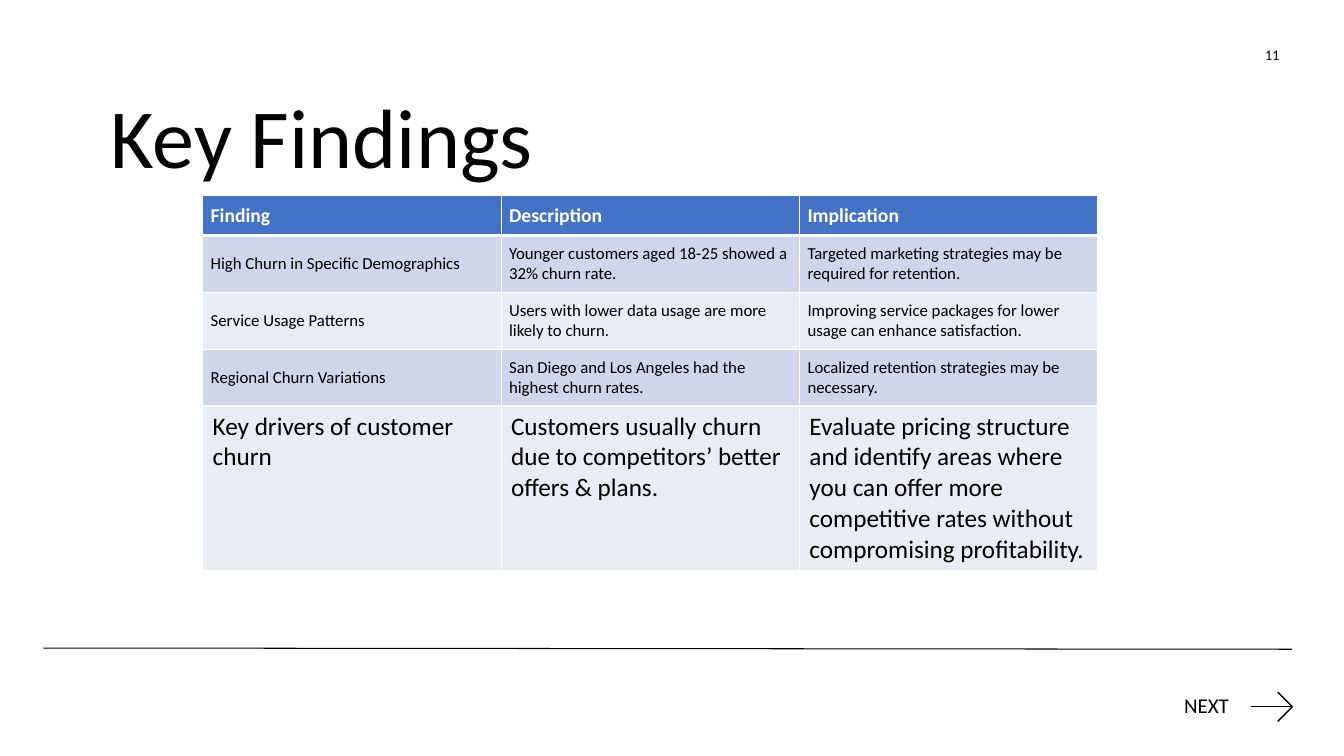
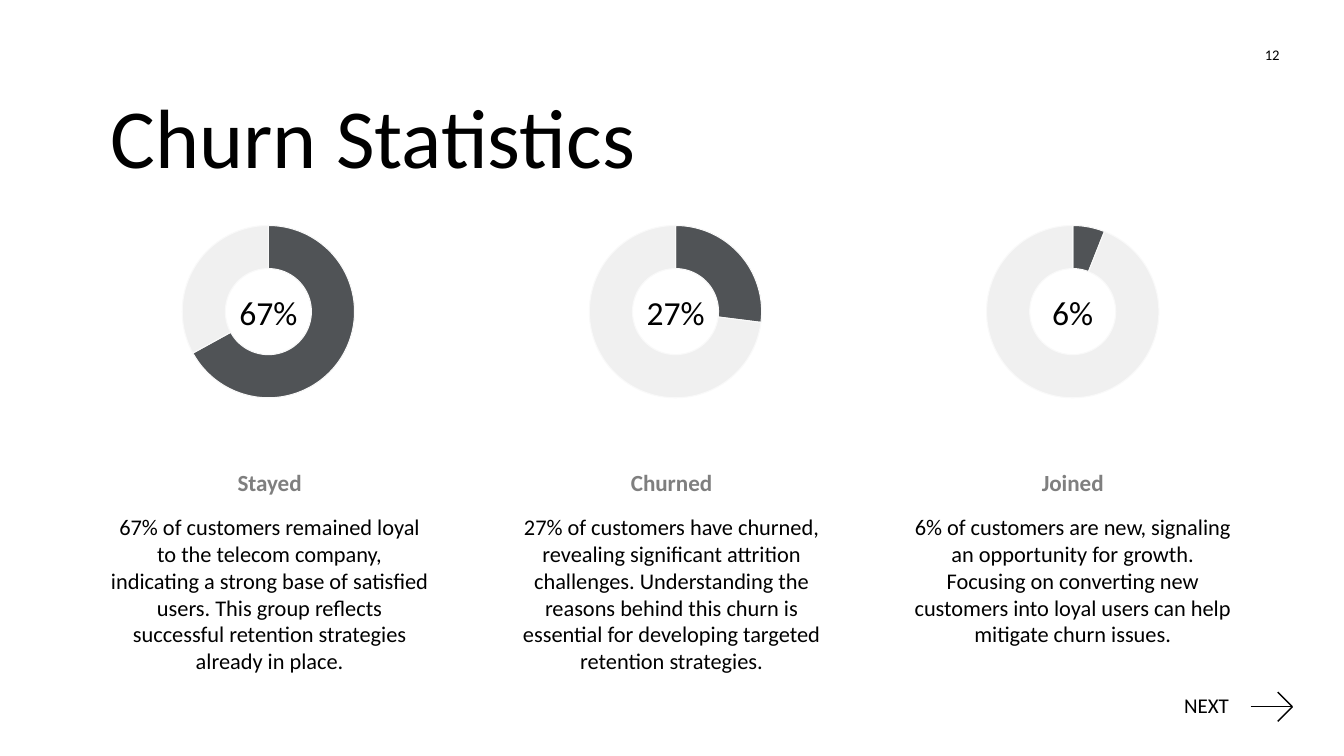
from dataclasses import dataclass

from lxml import etree
from pptx import Presentation
from pptx.chart.data import CategoryChartData
from pptx.dml.color import RGBColor
from pptx.enum import chart as charts, shapes, text
from pptx.oxml import parse_xml
from pptx.oxml.ns import nsdecls, qn
from pptx.util import Cm, Pt


@dataclass(frozen=True)
class Theme:
    font: str = "Calibri"
    black: str = "000000"
    white: str = "FFFFFF"
    grey: str = "7F7F7F"
    header: str = "4472C4"
    bands: tuple = ("CFD5EA", "E9EBF5")
    ring: tuple = ("505356", "F0F0F0")
    ring_edge: str = "F9F9F9"
    title: float = 60
    number: float = 10.5
    next: float = 15
    percent: float = 24
    label: float = 16.5
    body: float = 16
    table_head: float = 14
    table_body: float = 12
    table_last: float = 18


T = Theme()
LEFT, MIDDLE = text.PP_ALIGN.LEFT, text.MSO_ANCHOR.MIDDLE
CENTER, TOP = text.PP_ALIGN.CENTER, text.MSO_ANCHOR.TOP
BOTTOM = text.MSO_ANCHOR.BOTTOM

FINDINGS = [
    ("Finding", "Description", "Implication"),
    ("High Churn in Specific Demographics",
     "Younger customers aged 18-25 showed a 32% churn rate.",
     "Targeted marketing strategies may be required for retention."),
    ("Service Usage Patterns",
     "Users with lower data usage are more likely to churn.",
     "Improving service packages for lower usage can enhance satisfaction."),
    ("Regional Churn Variations",
     "San Diego and Los Angeles had the highest churn rates.",
     "Localized retention strategies may be necessary."),
    ("Key drivers of customer churn",
     "Customers usually churn due to competitors’ better offers & plans.",
     "Evaluate pricing structure and identify areas where you can offer more "
     "competitive rates without compromising profitability."),
]
ROW_HEIGHTS = (0.69, 0.97, 0.97, 0.97, 1.73)

# label, share in %, left of ring, left of caption, caption
STATISTICS = [
    ("Stayed", 67, 4.24, 2.54,
     "67% of customers remained loyal to the telecom company, indicating a "
     "strong base of satisfied users. This group reflects successful "
     "retention strategies already in place."),
    ("Churned", 27, 14.5, 12.67,
     "27% of customers have churned, revealing significant attrition "
     "challenges. Understanding the reasons behind this churn is essential "
     "for developing targeted retention strategies."),
    ("Joined", 6, 24.51, 22.78,
     "6% of customers are new, signaling an opportunity for growth. Focusing "
     "on converting new customers into loyal users can help mitigate churn "
     "issues."),
]


def rgb(code):
    return RGBColor.from_string(code)


def write(tf, words, *, size, color=T.black, bold=False, align=LEFT,
          anchor=TOP, margins=(0.25, 0.13), spacing=None, before=None):
    """Fill a text frame; margins are horizontal and vertical, in cm."""
    tf.word_wrap = True
    tf.auto_size = text.MSO_AUTO_SIZE.NONE
    tf.vertical_anchor = anchor
    tf.margin_left = tf.margin_right = Cm(margins[0])
    tf.margin_top = tf.margin_bottom = Cm(margins[1])
    p = tf.paragraphs[0]
    p.alignment = align
    if spacing:
        p.line_spacing = spacing
    if before:
        p.space_before = Pt(before)
    r = p.add_run()
    r.text = words
    f = r.font
    f.name, f.size, f.bold = T.font, Pt(size), bold
    f.color.rgb = rgb(color)


def add_text(slide, box, words, **fmt):
    sp = slide.shapes.add_textbox(*map(Cm, box))
    write(sp.text_frame, words, **fmt)


def add_line(slide, ends, width):
    line = slide.shapes.add_connector(
        shapes.MSO_CONNECTOR.STRAIGHT, *map(Cm, ends))
    line.line.color.rgb = rgb(T.black)
    line.line.width = Pt(width)
    etree.SubElement(line.element.spPr, qn("a:effectLst"))


def add_slide(prs, title, number):
    """Start a slide with its title, page number and NEXT arrow."""
    slide = prs.slides.add_slide(prs.slide_layouts[5])
    sp = slide.shapes.title
    sp.left, sp.top, sp.width, sp.height = map(Cm, (2.54, 2.01, 29.01, 3.66))
    write(sp.text_frame, title, size=T.title)
    add_text(slide, (31.55, 0.89, 1.02, 0.99), str(number), size=T.number,
             align=CENTER, anchor=MIDDLE)
    add_text(slide, (29.74, 17.4, 2.11, 0.84), "NEXT", size=T.next,
             margins=(0.1, 0.13), spacing=0.9, before=6)
    tip_x, tip_y, barb = 32.57, 17.81, 0.37
    add_line(slide, (31.52, tip_y, tip_x, tip_y), 1)
    for dy in (-barb, barb):
        add_line(slide, (tip_x - barb, tip_y + dy, tip_x, tip_y), 1)
    return slide


def set_borders(cell, bottom):
    """Draw white borders, with the bottom one of the given width."""
    pr = cell._tc.get_or_add_tcPr()
    for i, (side, width) in enumerate(
            (("L", 1), ("R", 1), ("T", 1), ("B", bottom))):
        pr.insert(i, parse_xml(
            f'<a:ln{side} {nsdecls("a")} w="{Pt(width)}"><a:solidFill>'
            f'<a:srgbClr val="{T.white}"/></a:solidFill></a:ln{side}>'))


def add_findings(slide):
    n_rows, n_cols = len(FINDINGS), len(FINDINGS[0])
    table = slide.shapes.add_table(
        n_rows, n_cols, Cm(5.11), Cm(4.93), Cm(22.56),
        Cm(sum(ROW_HEIGHTS))).table
    tight = dict(anchor=MIDDLE, margins=(0.2, 0.2))
    for i, row in enumerate(FINDINGS):
        table.rows[i].height = Cm(ROW_HEIGHTS[i])
        fill = T.bands[(i - 1) % 2]
        fmt = dict(size=T.table_body, **tight)
        if i == 0:
            fill = T.header
            fmt = dict(size=T.table_head, color=T.white, bold=True, **tight)
        elif i == n_rows - 1:
            fmt = dict(size=T.table_last)
        for j, words in enumerate(row):
            cell = table.cell(i, j)
            cell.fill.solid()
            cell.fill.fore_color.rgb = rgb(fill)
            set_borders(cell, 1 if i else 3)
            write_cell(cell, words, **fmt)


def write_cell(cell, words, *, anchor=TOP, margins=(0.25, 0.13), **fmt):
    """Cells keep anchor and margins themselves, not in the text frame."""
    write(cell.text_frame, words, **fmt)
    body = cell.text_frame._txBody.find(qn("a:bodyPr"))
    body.attrib.clear()
    for child in list(body):
        body.remove(child)
    cell.vertical_anchor = anchor
    cell.margin_left = cell.margin_right = Cm(margins[0])
    cell.margin_top = cell.margin_bottom = Cm(margins[1])


def add_ring(slide, left, top, size, share):
    data = CategoryChartData()
    data.categories = ["1", "2"]
    data.add_series("Series 1", (share, 100 - share))
    chart = slide.shapes.add_chart(
        charts.XL_CHART_TYPE.DOUGHNUT, Cm(left), Cm(top), Cm(size), Cm(size),
        data).chart
    chart.has_legend = chart.has_title = False
    chart.font.name, chart.font.size = T.font, Pt(10)
    chart.font.color.rgb = rgb(T.black)
    plot = chart.plots[0]
    plot.vary_by_categories = True
    for i, color in enumerate(T.ring):
        fmt = plot.series[0].points[i].format
        fmt.fill.solid()
        fmt.fill.fore_color.rgb = rgb(color)
        fmt.line.color.rgb = rgb(T.ring_edge)
        fmt.line.width = Pt(0.75)
    area = chart.element.find(".//" + qn("c:plotArea"))
    area.find(".//" + qn("c:holeSize")).set("val", "90")
    for layout in area.findall(qn("c:layout")):
        area.remove(layout)
    sides = (("xMode", "edge"), ("yMode", "edge"), ("x", 0.07), ("y", 0.07),
             ("w", 0.86), ("h", 0.86))
    area.insert(0, parse_xml(
        f'<c:layout {nsdecls("c")}><c:manualLayout>'
        '<c:layoutTarget val="inner"/>'
        + "".join(f'<c:{k} val="{v}"/>' for k, v in sides)
        + "</c:manualLayout></c:layout>"))


def add_statistics(slide):
    ring, ring_top, width = 5.05, 5.33, 8.51
    pct_w, pct_h = 2.54, 1.27
    for label, share, ring_left, left, caption in STATISTICS:
        add_ring(slide, ring_left, ring_top, ring, share)
        add_text(slide, (ring_left + (ring - pct_w) / 2,
                         ring_top + (ring - pct_h) / 2, pct_w, pct_h),
                 f"{share}%", size=T.percent, align=CENTER, anchor=MIDDLE)
        add_text(slide, (left, 11.66, width, 0.97), label, size=T.label,
                 color=T.grey, bold=True, align=CENTER, anchor=BOTTOM)
        add_text(slide, (left, 12.8, width, 3.66), caption, size=T.body,
                 align=CENTER)


def main():
    prs = Presentation()
    prs.slide_width, prs.slide_height = Cm(33.87), Cm(19.05)
    findings = add_slide(prs, "Key Findings", 11)
    add_line(findings, (1.09, 16.33, 32.56, 16.36), 0.75)
    add_findings(findings)
    add_statistics(add_slide(prs, "Churn Statistics", 12))
    prs.save("out.pptx")


if __name__ == "__main__":
    main()
